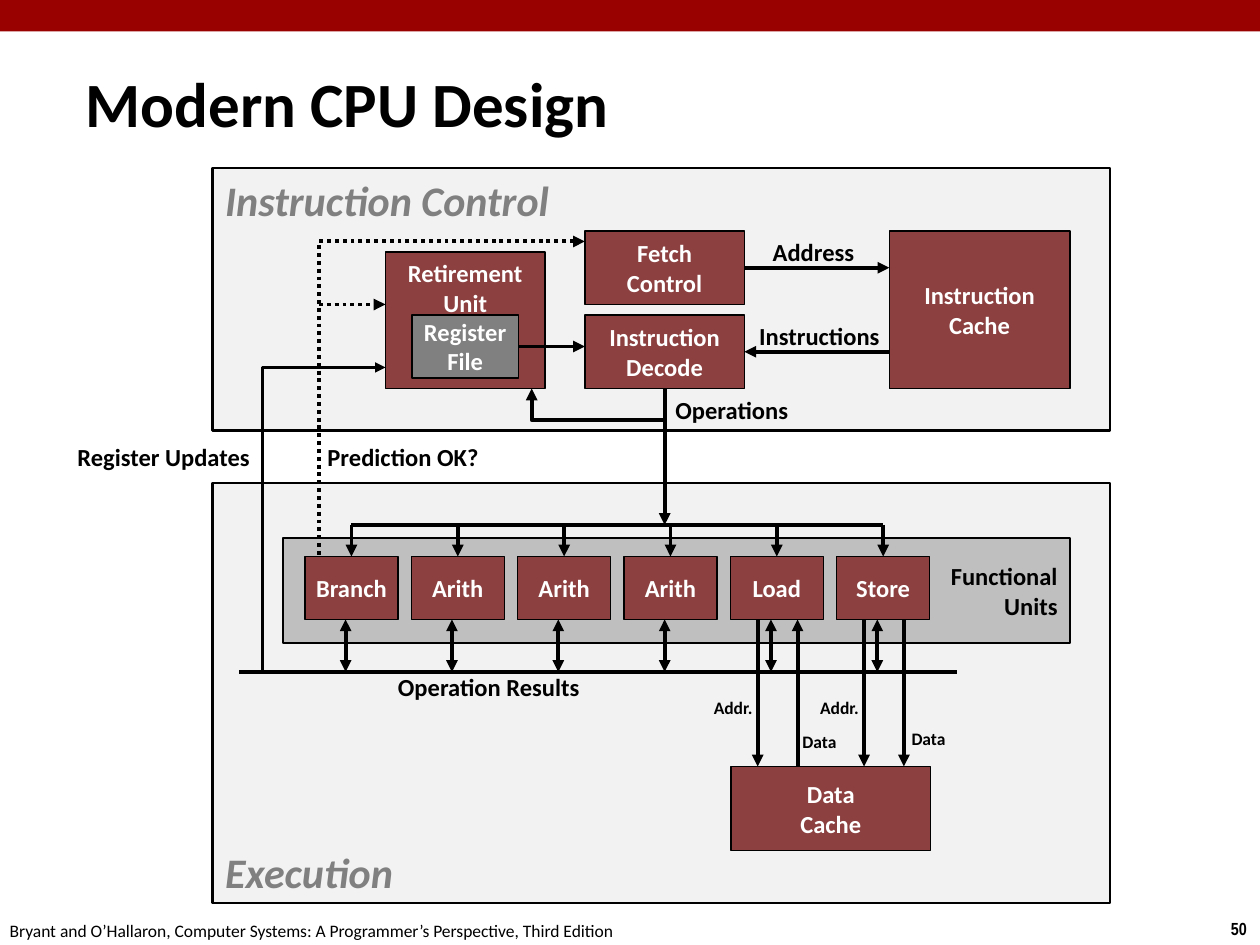
from lxml.etree import SubElement
from pptx import Presentation
from pptx.dml.color import RGBColor
from pptx.enum.dml import MSO_LINE
from pptx.enum.shapes import MSO_CONNECTOR, MSO_SHAPE
from pptx.enum.text import MSO_ANCHOR, MSO_AUTO_SIZE, PP_ALIGN
from pptx.oxml.ns import qn
from pptx.util import Inches, Pt

LEFT, CENTER, RIGHT = PP_ALIGN.LEFT, PP_ALIGN.CENTER, PP_ALIGN.RIGHT
TOP, MIDDLE, BOTTOM = MSO_ANCHOR.TOP, MSO_ANCHOR.MIDDLE, MSO_ANCHOR.BOTTOM
color = RGBColor.from_string
MAROON, GRAY, PANEL = "8C4040", "808080", "F2F2F2"

presentation = Presentation()
presentation.slide_width, presentation.slide_height = Inches(10), Inches(7.5)
slide = presentation.slides.add_slide(presentation.slide_layouts[5])

# The diagram lies on a grid of columns and rows
COLUMN = Inches(0.211)
ROW = presentation.slide_height / 90


def add_box(text, x, y, width, height, fill=None, line=0.75, size=14, ink="FFFFFF",
            align=CENTER, anchor=MIDDLE, bold=True, italic=False, font="Calibri"):
    """Add a filled rectangle, or a plain text box when there is no fill."""
    place = [round(x * COLUMN), round(y * ROW), round(width * COLUMN), round(height * ROW)]
    if fill:
        shape = slide.shapes.add_shape(MSO_SHAPE.RECTANGLE, *place)
        shape.shadow.inherit = False
        shape.fill.solid()
        shape.fill.fore_color.rgb = color(fill)
        if line:
            shape.line.color.rgb = color("000000")
            shape.line.width = Pt(line)
        else:
            shape.line.fill.background()
    else:
        shape = slide.shapes.add_textbox(*place)
    frame = shape.text_frame
    frame.word_wrap = False
    frame.vertical_anchor = anchor
    frame.text = text
    for paragraph in frame.paragraphs:
        paragraph.alignment = align
        paragraph.font.name, paragraph.font.size = font, Pt(size)
        paragraph.font.bold, paragraph.font.italic = bold, italic
        paragraph.font.color.rgb = color(ink)
    return shape


def add_line(*points, ends=("tailEnd",), width=2.25, dotted=False):
    """Add a connector through two points, or an open outline through more."""
    points = [(round(x * COLUMN), round(y * ROW)) for x, y in points]
    if len(points) == 2:
        shape = slide.shapes.add_connector(MSO_CONNECTOR.STRAIGHT, *points[0], *points[1])
    else:
        builder = slide.shapes.build_freeform(*points[0])
        builder.add_line_segments(points[1:], close=False)
        shape = builder.convert_to_shape()
        shape.fill.background()
    shape.line.color.rgb = color("000000")
    shape.line.width = Pt(width)
    if dotted:
        shape.line.dash_style = MSO_LINE.ROUND_DOT
    properties = shape._element.spPr
    for end in ends:
        SubElement(properties.find(qn("a:ln")), qn(f"a:{end}"), type="triangle")
    SubElement(properties, qn("a:effectLst"))
    return shape


# Top bar, page number and footer
add_box("", 0, 0, presentation.slide_width / COLUMN, 3, "990000", line=0)
add_box("50", 45.8, 86.8, 1.6, 3.2, size=10, ink="000000", anchor=TOP, font="Arial Narrow")
add_box("Bryant and O’Hallaron, Computer Systems: A Programmer’s Perspective, Third Edition",
        -0.1, 87, 24.1, 3.2, size=10, ink="000000", align=LEFT, anchor=TOP, bold=False)

# Title
title = slide.shapes.title
title.left, title.top = Inches(0.58), Inches(0.5)
title.width, title.height = Inches(6.41), Inches(0.63)
title.text_frame.text = "Modern CPU Design"
title.text_frame.auto_size = MSO_AUTO_SIZE.NONE
title.text_frame.vertical_anchor = MIDDLE
paragraph = title.text_frame.paragraphs[0]
paragraph.alignment = LEFT
paragraph_properties = paragraph._p.get_or_add_pPr()
paragraph_properties.set("marL", str(Inches(0.13)))
paragraph_properties.set("indent", str(-Inches(0.13)))
paragraph.font.name, paragraph.font.size, paragraph.font.bold = "Calibri", Pt(36), True
paragraph.font.color.rgb = color("000000")

# Panels
panel_style = dict(fill=PANEL, line=1.5, size=24, ink=GRAY, align=LEFT, italic=True)
add_box("Execution", 8, 46, 33.75, 40, anchor=BOTTOM, **panel_style)
add_box("Functional\nUnits", 10.65, 51.25, 29.6, 10, "BFBFBF", ink="000000", align=RIGHT)
add_box("Instruction Control", 8, 16, 33.75, 25, anchor=TOP, **panel_style)

# Instruction control blocks
instruction_cache = add_box("Instruction\nCache", 33.45, 22, 6.8, 15, MAROON)
fetch = add_box("Fetch\nControl", 22, 22, 6, 7, MAROON)
decode = add_box("Instruction\nDecode", 22, 30, 6, 7, MAROON)
add_box("Retirement\nUnit", 14.5, 24, 6, 13, MAROON, anchor=TOP)
register_file = add_box("Register\nFile", 15.5, 30, 4, 6, GRAY)

# Functional units, fed from the operations bus above and joined to the results bus below
for index, name in enumerate(["Branch", "Arith", "Arith", "Arith", "Load", "Store"]):
    offset = 4 * index
    unit = add_box(name, 11.47 + offset, 53, 3.5, 6, MAROON)
    feed = add_line((13.22 + offset, 50), (13.22 + offset, 53))
    feed.end_connect(unit, 0)
    add_line((13 + offset, 59), (13 + offset, 64), ends=("headEnd", "tailEnd"))
add_line((13.22, 50), (33.22, 50), ends=())
add_line((9, 64), (36, 64), ends=())

# Data cache and its address and data lines
add_box("Data\nCache", 27.5, 73, 7.5, 8, MAROON)
for x, start, end in [(28.5, 59, 73), (30, 73, 59), (32.5, 59, 73), (34, 59, 73)]:
    add_line((x, start), (x, end))

# Flow between the instruction control blocks
add_line((28, 25.5), (33.45, 25.5)).begin_connect(fetch, 3)
add_line((33.45, 33.5), (28, 33.5)).end_connect(decode, 3)
add_line((25, 37), (25, 50)).begin_connect(decode, 2)
add_line((19.5, 33), (22, 33)).begin_connect(register_file, 3)
add_line((25, 40), (20, 40), (20, 37))

# Prediction and register update feedback
add_line((22, 23), (12, 23), (12, 53), ends=("headEnd",), dotted=True)
add_line((12, 29), (14.5, 29), dotted=True)
add_line((14.5, 35), (9.87, 35), (9.87, 64), ends=("headEnd",), width=1.5)

# Labels
for text, x, y, width, size, align in [
    ("Address", 28.55, 22, 4.1, 14, CENTER),
    ("Instructions", 28.05, 30, 5.55, 14, CENTER),
    ("Operations", 24.9, 37, 5.25, 14, CENTER),
    ("Prediction OK?", 11.85, 41.5, 6.7, 14, LEFT),
    ("Register Updates", 2.37, 41.5, 7.5, 14, RIGHT),
    ("Operation Results", 14.5, 63.4, 7.85, 14, LEFT),
    ("Addr.", 26.35, 65.75, 2.45, 10, CENTER),
    ("Addr.", 30.35, 65.75, 2.45, 10, CENTER),
    ("Data", 29.7, 69, 2.25, 10, CENTER),
    ("Data", 33.8, 68.75, 2.25, 10, CENTER),
]:
    height = 4 if size == 14 else 3.2
    add_box(text, x, y, width, height, size=size, ink="000000", align=align, anchor=TOP)

presentation.save("out.pptx")
